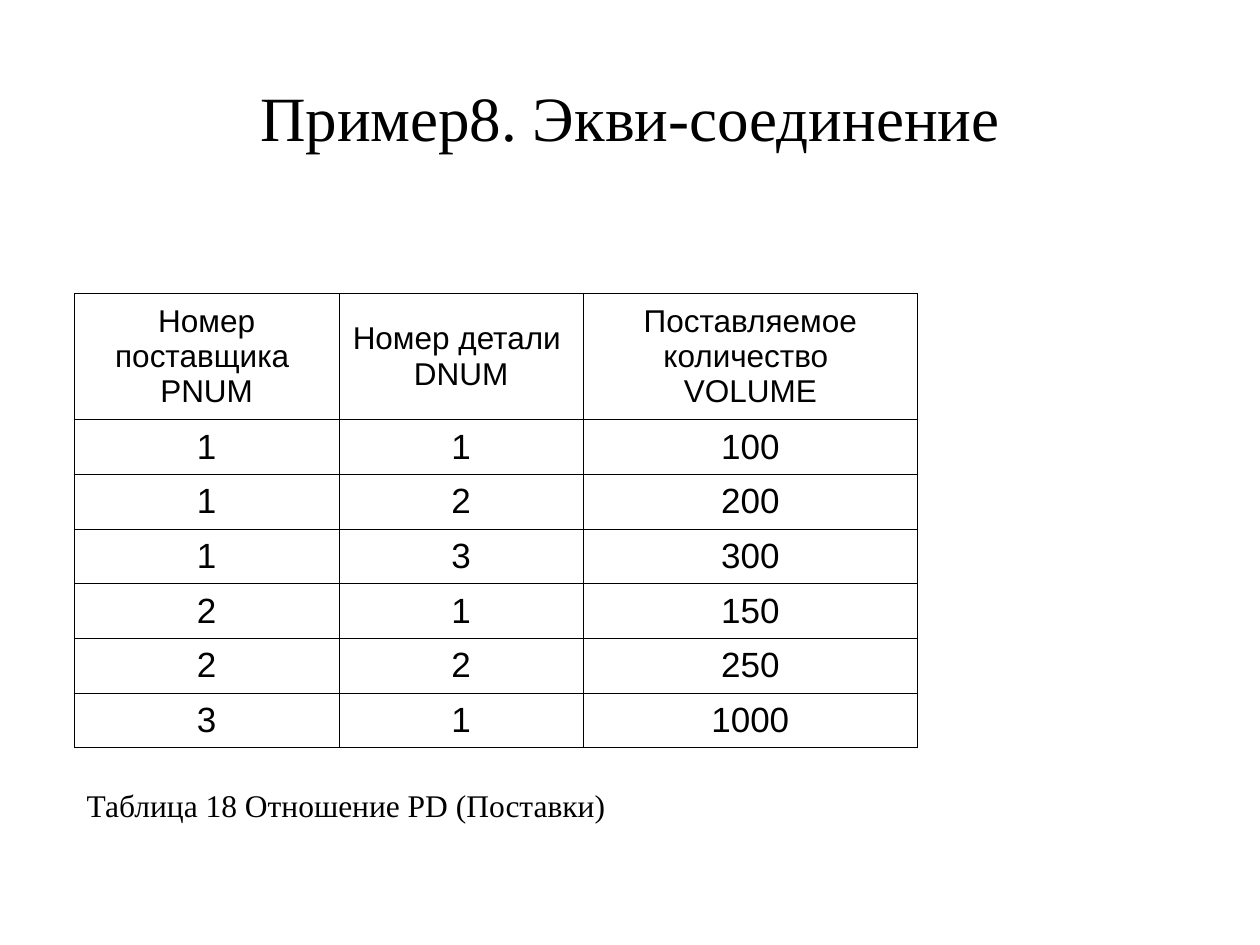
from pptx import Presentation
from pptx.dml.color import RGBColor
from pptx.enum.text import MSO_ANCHOR as Anchor, PP_ALIGN as Align
from pptx.oxml import parse_xml
from pptx.oxml.ns import nsdecls
from pptx.util import Inches, Pt

BLACK = RGBColor(0, 0, 0)
WHITE = RGBColor(255, 255, 255)
SERIF, SANS = "Times New Roman", "Arial"

TITLE = "Пример8. Экви-соединение"
CAPTION = "Таблица 18 Отношение PD (Поставки)"
# \v is a line break inside the paragraph
HEADS = ["Номер поставщика \vPNUM", "Номер детали \vDNUM",
         "Поставляемое количество \vVOLUME"]
SUPPLY = [(1, 1, 100), (1, 2, 200), (1, 3, 300),
          (2, 1, 150), (2, 2, 250), (3, 1, 1000)]

LEFT, TOP, HIGH = 0.59, 2.33, 3.6
WIDTHS = [2.1, 1.94, 2.65]
HEAD_H = 1
ROW_H = (HIGH - HEAD_H) / len(SUPPLY)


def write(frame, text, size, face, align):
    par = frame.paragraphs[0]
    par.text = text
    par.alignment = align
    for key, val in {"size": Pt(size), "name": face}.items():
        setattr(par.font, key, val)
    par.font.color.rgb = BLACK


def add_label(slide, box, text, size, face, align, anchor):
    frame = slide.shapes.add_textbox(*map(Inches, box)).text_frame
    frame.word_wrap = True
    frame.vertical_anchor = anchor
    write(frame, text, size, face, align)


def frame_cell(cell):
    """Draw thin black borders and a white fill."""
    props = cell._tc.get_or_add_tcPr()
    for side in ("lnL", "lnR", "lnT", "lnB"):
        props.append(parse_xml(
            f'<a:{side} {nsdecls("a")} w="{Pt(0.45)}"><a:solidFill>'
            f'<a:srgbClr val="{BLACK}"/></a:solidFill></a:{side}>'))
    cell.fill.solid()
    cell.fill.fore_color.rgb = WHITE


def add_grid(slide):
    rows = [HEADS, *SUPPLY]
    box = map(Inches, (LEFT, TOP, sum(WIDTHS), HIGH))
    grid = slide.shapes.add_table(len(rows), len(HEADS), *box).table
    for col, width in zip(grid.columns, WIDTHS):
        col.width = Inches(width)
    for r, row in enumerate(rows):
        grid.rows[r].height = Inches(ROW_H if r else HEAD_H)
        for c, value in enumerate(row):
            cell = grid.cell(r, c)
            cell.vertical_anchor = Anchor.MIDDLE
            write(cell.text_frame, str(value), 20 if r else 18, SANS, Align.CENTER)
            frame_cell(cell)


def main():
    deck = Presentation()
    deck.slide_width, deck.slide_height = Inches(10), Inches(7.5)
    slide = deck.slides.add_slide(deck.slide_layouts[6])
    add_label(slide, (0.5, 0.3, 9, 1.25), TITLE, 36, SERIF, Align.CENTER, Anchor.MIDDLE)
    add_grid(slide)
    add_label(slide, (LEFT, 6.19, 5.67, 0.4), CAPTION, 18, SERIF, Align.LEFT, Anchor.TOP)
    deck.save("out.pptx")


if __name__ == "__main__":
    main()
